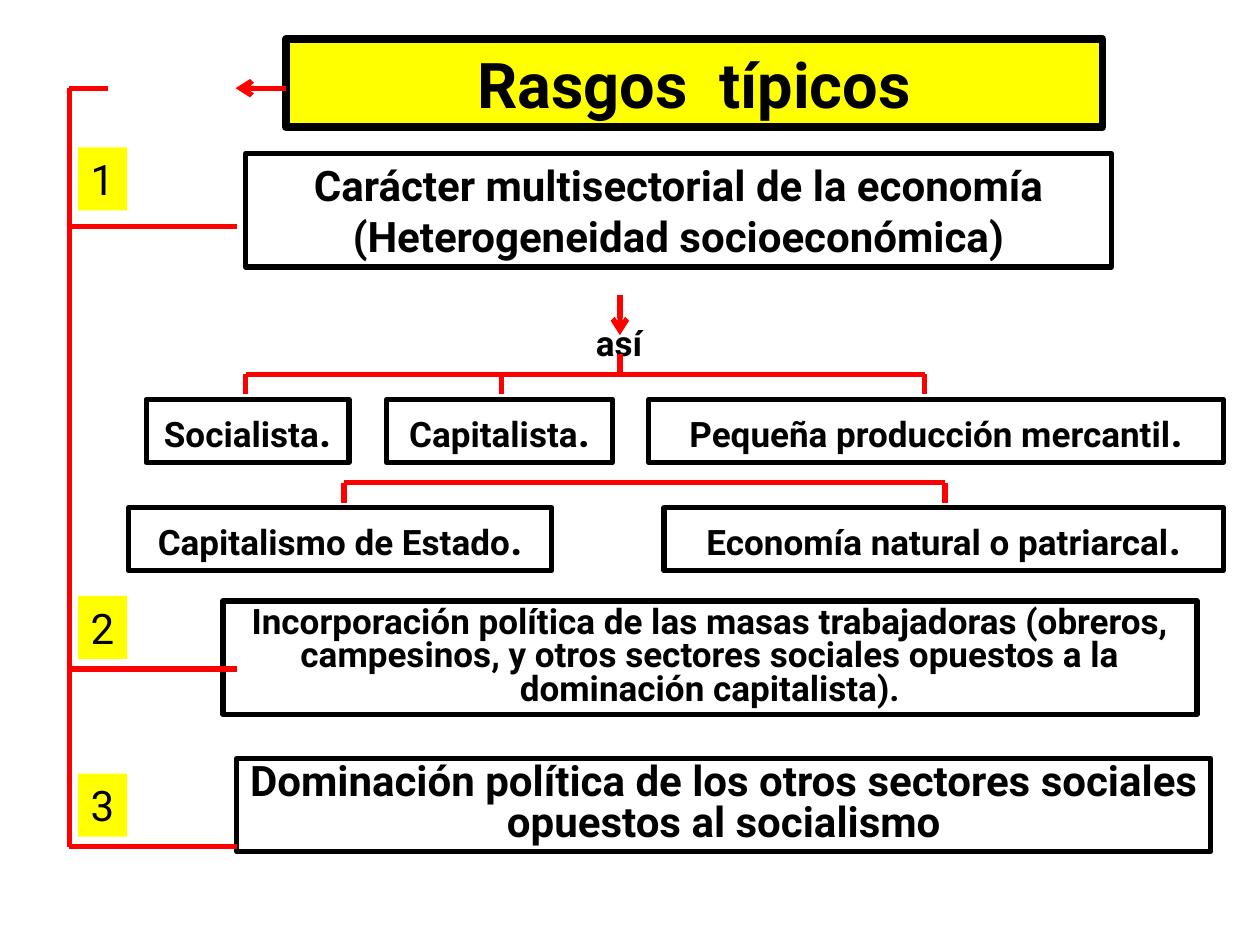
from lxml import etree
from pptx import Presentation
from pptx.dml.color import RGBColor
from pptx.enum.shapes import MSO_CONNECTOR, MSO_SHAPE
from pptx.enum.text import MSO_ANCHOR, MSO_AUTO_SIZE, PP_ALIGN
from pptx.oxml.ns import qn
from pptx.util import Inches, Pt

BLACK = RGBColor(0, 0, 0)
RED = RGBColor(255, 0, 0)
YELLOW = RGBColor(255, 255, 0)
STRAIGHT = MSO_CONNECTOR.STRAIGHT
RECTANGLE = MSO_SHAPE.RECTANGLE
TOP, MIDDLE = MSO_ANCHOR.TOP, MSO_ANCHOR.MIDDLE
NO_FIT = MSO_AUTO_SIZE.NONE
LEFT, CENTER = PP_ALIGN.LEFT, PP_ALIGN.CENTER

TRUNK_X = 0.55
BRANCH_END = 1.88
DROP = 0.16


class Diagram:
    """Draws the elements of a red-and-black outline diagram on one slide."""

    font = "Roboto"
    line_width = 3

    def __init__(self, slide):
        self.slide = slide

    def set_text(self, shape, text, size, bold=True, align=CENTER, wrap=True,
                 anchor=TOP, spacing=None):
        frame = shape.text_frame
        frame.text = text
        frame.word_wrap = wrap
        frame.auto_size = NO_FIT
        frame.vertical_anchor = anchor
        paragraph = frame.paragraphs[0]
        paragraph.alignment = align
        paragraph.line_spacing = spacing
        for run in paragraph.runs:
            self.style(run, size, bold)
        return paragraph

    def style(self, run, size, bold=True):
        run.font.name = self.font
        run.font.size = Pt(size)
        run.font.bold = bold
        run.font.color.rgb = BLACK

    def title(self, text, left, top, width, height):
        shape = self.slide.shapes.title
        shape.left, shape.top = Inches(left), Inches(top)
        shape.width, shape.height = Inches(width), Inches(height)
        shape.fill.solid()
        shape.fill.fore_color.rgb = YELLOW
        shape.line.color.rgb = BLACK
        shape.line.width = Pt(4.5)
        self.set_text(shape, text, 36, anchor=MIDDLE)

    def rectangle(self, left, top, width, height):
        shape = self.slide.shapes.add_shape(
            RECTANGLE, Inches(left), Inches(top), Inches(width), Inches(height))
        shape.shadow.inherit = False
        return shape

    def box(self, text, left, top, width, height, size, spacing=None):
        shape = self.rectangle(left, top, width, height)
        shape.fill.background()
        shape.line.color.rgb = BLACK
        shape.line.width = Pt(self.line_width)
        return self.set_text(shape, text, size, spacing=spacing)

    def sector(self, text, left, top, width):
        paragraph = self.box(text, left, top, width, 0.5, 20)
        stop = paragraph.add_run()
        stop.text = "."
        self.style(stop, 24)

    def number(self, text, top):
        shape = self.rectangle(0.62, top, 0.39, 0.5)
        shape.fill.solid()
        shape.fill.fore_color.rgb = YELLOW
        shape.line.fill.background()
        self.set_text(shape, text, 24, bold=False, align=LEFT, wrap=False)

    def label(self, text, left, top, width, height):
        shape = self.slide.shapes.add_textbox(
            Inches(left), Inches(top), Inches(width), Inches(height))
        self.set_text(shape, text, 20, align=LEFT, wrap=False)

    def line(self, x1, y1, x2, y2, arrow=False):
        connector = self.slide.shapes.add_connector(
            STRAIGHT, Inches(x1), Inches(y1), Inches(x2), Inches(y2))
        connector.line.color.rgb = RED
        connector.line.width = Pt(self.line_width)
        properties = connector._element.spPr
        if arrow:
            outline = properties.find(qn("a:ln"))
            etree.SubElement(outline, qn("a:tailEnd"), type="arrow")
        etree.SubElement(properties, qn("a:effectLst"))

    def bracket(self, y, drops):
        self.line(max(drops), y, min(drops), y)
        for x in drops:
            self.line(x, y, x, y + DROP)


def main():
    presentation = Presentation()
    presentation.slide_width = Inches(10)
    presentation.slide_height = Inches(7.5)
    slide = presentation.slides.add_slide(presentation.slide_layouts[5])
    diagram = Diagram(slide)

    diagram.title("Rasgos  típicos", 2.27, 0.31, 6.48, 0.7)
    diagram.box("Carácter multisectorial de la economía (Heterogeneidad socioeconómica)",
                1.95, 1.22, 6.87, 0.9, 24)
    for text, left, top, width in (
            ("Socialista", 1.16, 3.17, 1.61),
            ("Capitalista", 3.07, 3.17, 1.79),
            ("Pequeña producción mercantil", 5.15, 3.17, 4.56),
            ("Capitalismo de Estado", 1.02, 4.03, 3.36),
            ("Economía natural o patriarcal", 5.27, 4.03, 4.44)):
        diagram.sector(text, left, top, width)
    diagram.box("Incorporación política de las masas trabajadoras (obreros, campesinos, "
                "y otros sectores sociales opuestos a la dominación capitalista).",
                1.77, 4.77, 7.73, 0.9, 20, spacing=0.8)
    diagram.box("Dominación política de los otros sectores sociales opuestos al socialismo",
                1.88, 6.02, 7.73, 0.74, 24, spacing=0.8)

    diagram.line(2.27, 0.7, 1.87, 0.7, arrow=True)
    diagram.line(TRUNK_X, 0.7, 0.86, 0.7)
    diagram.line(TRUNK_X, 0.7, TRUNK_X, 6.72)
    for number, top, branch_y in (("1", 1.17, 1.8), ("2", 4.73, 5.31), ("3", 6.14, 6.72)):
        diagram.line(TRUNK_X, branch_y, BRANCH_END, branch_y)
        diagram.number(number, top)

    diagram.line(4.92, 2.34, 4.92, 2.66, arrow=True)
    diagram.label("así", 4.63, 2.5, 0.59, 0.44)
    diagram.line(4.92, 2.81, 4.92, 2.97)
    diagram.bracket(2.97, (1.95, 3.98, 7.34))
    diagram.bracket(3.83, (2.73, 7.5))

    presentation.save("out.pptx")


if __name__ == "__main__":
    main()
